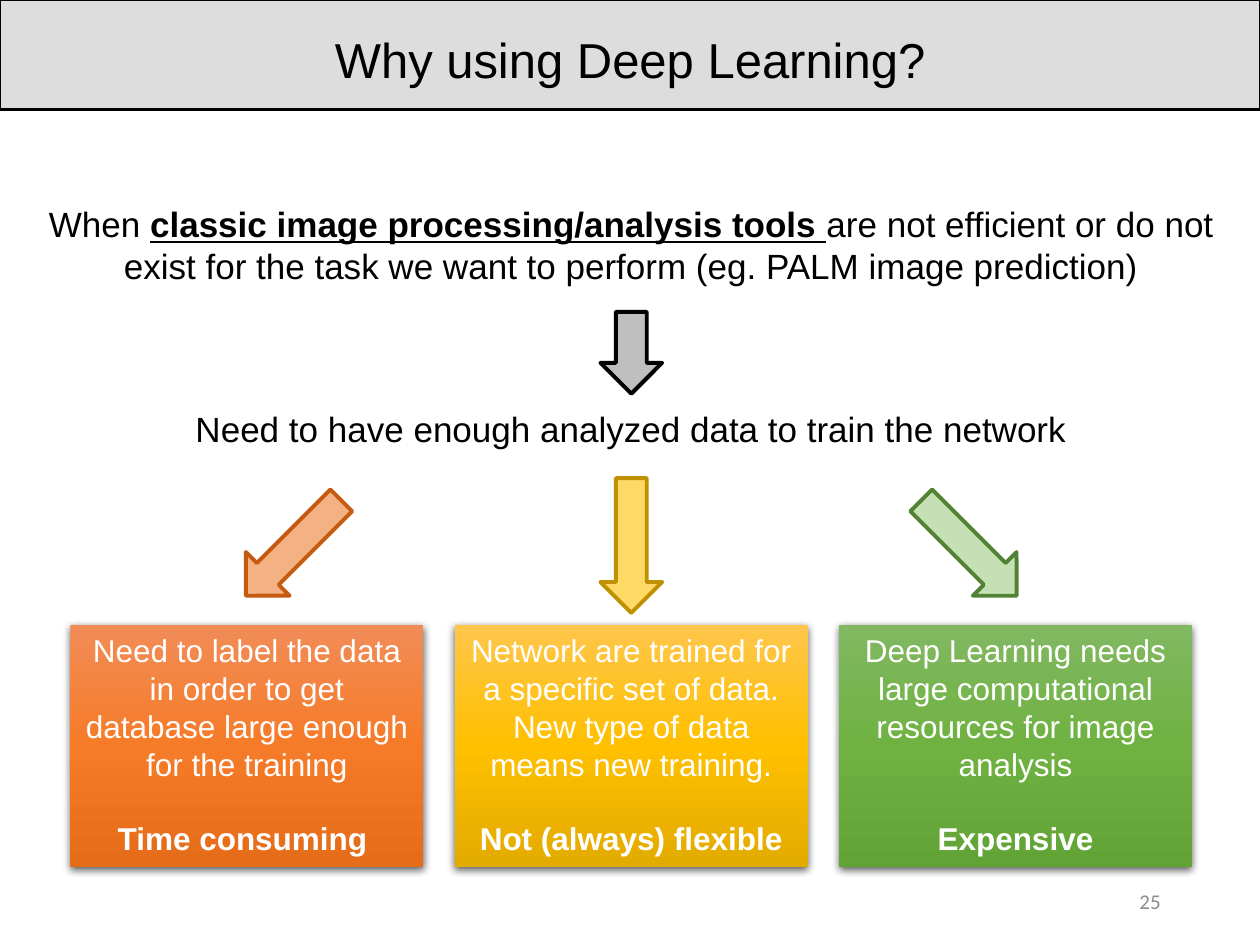
from copy import deepcopy
from lxml.etree import SubElement
from pptx import Presentation
from pptx.dml.color import RGBColor
from pptx.enum.shapes import MSO_SHAPE
from pptx.enum.text import MSO_ANCHOR, PP_ALIGN
from pptx.oxml.ns import qn
from pptx.util import Inches, Pt

THEME = {
    "font": "Arial", "number_font": "Calibri",
    "black": "000000", "white": "FFFFFF", "bar": "DDDDDD", "number": "8C8C8C",
    "title_size": 28, "body_size": 20, "card_size": 18, "number_size": 12,
    "line_height": 1.15,
}

# Content: paragraphs are lists of (text, emphasis) runs
TITLE = "Why using Deep Learning?"
STATEMENTS = [
    [("When ", ""), ("classic image processing/analysis tools ", "bu"),
     ("are not efficient or do not exist for the task we want to perform "
      "(eg. PALM image prediction)", "")],
    [("Need to have enough analyzed data to train the network", "")],
]
CARDS = [
    ("Need to label the data in order to get database large enough for the training",
     "Time consuming ", ("F18C57", "F67B28", "E56C19")),
    ("Network are trained for a specific set of data. New type of data means new training.",
     "Not (always) flexible", ("FFC64B", "FFC000", "E3AB00")),
    ("Deep Learning needs large computational resources for image analysis",
     "Expensive", ("81B861", "6FB242", "62A336")),
]
# Arrows: centre x, centre y, length, rotation, fill, line
ARROWS = [
    (5.01, 2.8, 0.65, 90, "BFBFBF", "000000"),
    (2.33, 4.35, 1.07, 135, "F4B183", "C55A11"),
    (5.01, 4.33, 1.07, 90, "FFD966", "BF9000"),
    (7.69, 4.35, 1.07, 45, "C5E0B4", "548235"),
]
ARROW_WIDTH = 0.49
CARD_LEFT, CARD_TOP, CARD_WIDTH, CARD_HEIGHT, CARD_PITCH = 0.56, 4.96, 2.8, 1.92, 3.05
PAGE_NUMBER = "25"


def rgb(name):
    return RGBColor.from_string(THEME.get(name, name))


def box(left, top, width, height):
    return [Inches(value) for value in (left, top, width, height)]


def write(shape, paragraphs, size, color, font="font", align=PP_ALIGN.CENTER,
          anchor=MSO_ANCHOR.TOP, blank_lines=0):
    """Fill a shape with paragraphs, set apart by a number of line heights."""
    frame = shape.text_frame
    frame.word_wrap = True
    frame.vertical_anchor = anchor
    for index, runs in enumerate(paragraphs):
        paragraph = frame.add_paragraph() if index else frame.paragraphs[0]
        paragraph.alignment = align
        if index:
            paragraph.space_before = Pt(blank_lines * THEME[size] * THEME["line_height"])
        for text, emphasis in runs:
            run = paragraph.add_run()
            run.text = text
            run.font.name = THEME[font]
            run.font.size = Pt(THEME[size])
            run.font.color.rgb = rgb(color)
            run.font.bold = "b" in emphasis
            run.font.underline = "u" in emphasis


def add_gradient(shape, colors):
    shape.fill.gradient()
    shape.fill.gradient_angle = 270
    stops = shape._element.spPr.find(".//" + qn("a:gsLst"))
    while len(stops) < len(colors):
        stops.append(deepcopy(stops[0]))
    for index, (stop, color) in enumerate(zip(shape.fill.gradient_stops, colors)):
        stop.position = index / (len(colors) - 1)
        stop.color.rgb = rgb(color)


def add_shadow(shape):
    shape.shadow.inherit = False
    effects = shape._element.spPr.find(qn("a:effectLst"))
    shadow = SubElement(effects, qn("a:outerShdw"), blurRad=str(Pt(4.5)),
                        dist=str(Pt(1.5)), dir="5400000", algn="ctr", rotWithShape="0")
    color = SubElement(shadow, qn("a:srgbClr"), val=THEME["black"])
    SubElement(color, qn("a:alpha"), val="63000")


presentation = Presentation()
presentation.slide_width, presentation.slide_height = Inches(10), Inches(7.5)
slide = presentation.slides.add_slide(presentation.slide_layouts[5])
shapes = slide.shapes

# Title bar
title = shapes.title
title.left, title.top, title.width, title.height = box(0, 0, 10, 0.87)
title.fill.solid()
title.fill.fore_color.rgb = rgb("bar")
title.line.color.rgb = rgb("black")
title.line.width = Pt(1.5)
title.text_frame.margin_top = Inches(0.12)
title.text_frame.margin_bottom = Inches(0.05)
write(title, [[(TITLE, "")]], "title_size", "black", anchor=MSO_ANCHOR.MIDDLE)

# Statements
statements = shapes.add_textbox(*box(0.25, 1.56, 9.52, 2.12))
write(statements, STATEMENTS, "body_size", "black", blank_lines=3)

# Cards
for index, (reason, verdict, colors) in enumerate(CARDS):
    card = shapes.add_shape(MSO_SHAPE.RECTANGLE, *box(
        CARD_LEFT + index * CARD_PITCH, CARD_TOP, CARD_WIDTH, CARD_HEIGHT))
    add_gradient(card, colors)
    card.line.fill.background()
    add_shadow(card)
    write(card, [[(reason, "")], [(verdict, "b")]], "card_size", "white", blank_lines=1)

# Arrows
for center_x, center_y, length, rotation, fill, line in ARROWS:
    arrow = shapes.add_shape(MSO_SHAPE.RIGHT_ARROW, *box(
        center_x - length / 2, center_y - ARROW_WIDTH / 2, length, ARROW_WIDTH))
    arrow.rotation = rotation
    arrow.shadow.inherit = False
    arrow.fill.solid()
    arrow.fill.fore_color.rgb = rgb(fill)
    arrow.line.color.rgb = rgb(line)
    arrow.line.width = Pt(2.25)

# Page number
number = shapes.add_textbox(*box(7.06, 6.95, 2.25, 0.4))
write(number, [[(PAGE_NUMBER, "")]], "number_size", "number", "number_font",
      PP_ALIGN.RIGHT, MSO_ANCHOR.MIDDLE)

presentation.save("out.pptx")
